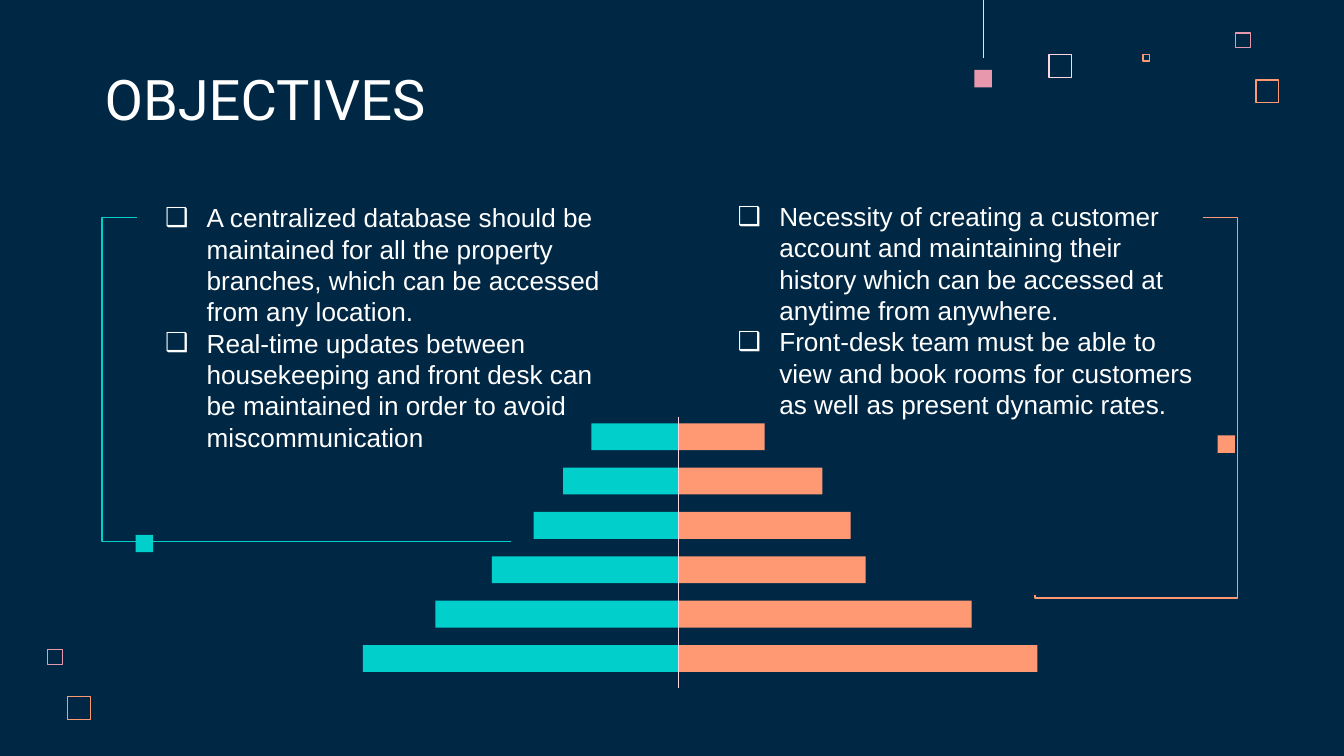
from lxml.etree import SubElement
from pptx import Presentation
from pptx.dml.color import RGBColor
from pptx.enum.shapes import MSO_CONNECTOR, MSO_SHAPE
from pptx.enum.text import MSO_ANCHOR
from pptx.oxml.ns import qn
from pptx.util import Inches, Pt

NAVY = RGBColor(0x00, 0x28, 0x45)
WHITE = RGBColor(0xFF, 0xFF, 0xFF)
BLUSH = RGBColor(0xFF, 0xD6, 0xE1)
PINK = RGBColor(0xE8, 0x98, 0xAC)
ORANGE = RGBColor(0xFF, 0x99, 0x73)
TEAL = RGBColor(0x00, 0xCF, 0xCC)

LEFT_GOALS = [
    "A centralized database should be maintained for all the property branches, "
    "which can be accessed from any location.",
    "Real-time updates between housekeeping and front desk can be maintained "
    "in order to avoid miscommunication",
]
RIGHT_GOALS = [
    "Necessity of creating a customer account and maintaining their history "
    "which can be accessed at anytime from anywhere.",
    "Front-desk team must be able to view and book rooms for customers "
    "as well as present dynamic rates.",
]
# Teal and orange bar lengths in inches, from top to bottom
BAR_LENGTHS = [(0.65, 0.64), (0.86, 1.07), (1.08, 1.28),
               (1.39, 1.39), (1.81, 2.18), (2.35, 2.67)]


def add_block(slide, left, top, width, height, color):
    block = slide.shapes.add_shape(MSO_SHAPE.RECTANGLE, Inches(left), Inches(top),
                                   Inches(width), Inches(height))
    block.shadow.inherit = False
    block.fill.solid()
    block.fill.fore_color.rgb = color
    block.line.fill.background()
    return block


def add_frame(slide, left, top, size, color):
    """Draw a hollow square whose outline stays inside the given box."""
    stroke = 0.01
    frame = add_block(slide, left + stroke / 2, top + stroke / 2,
                      size - stroke, size - stroke, color)
    frame.fill.background()
    frame.line.color.rgb = color
    frame.line.width = Inches(stroke)


def add_line(slide, start, end, color, weight=0.75, kind=MSO_CONNECTOR.STRAIGHT):
    line = slide.shapes.add_connector(kind, *map(Inches, (*start, *end)))
    line.line.color.rgb = color
    line.line.width = Pt(weight)
    SubElement(line._element.spPr, qn("a:effectLst"))
    return line


def add_bracket(slide, start, end, color, preset, bends):
    """Draw an elbow line; bends are fractions of its box."""
    bracket = add_line(slide, start, end, color, kind=MSO_CONNECTOR.ELBOW)
    geometry = bracket._element.spPr.find(qn("a:prstGeom"))
    geometry.set("prst", preset)
    guides = geometry.find(qn("a:avLst"))
    for number, bend in enumerate(bends, 1):
        SubElement(guides, qn("a:gd"), name=f"adj{number}",
                   fmla=f"val {round(bend * 100000)}")


def add_text(slide, left, top, width, height, paragraphs, *, font="Arial", size=14,
             color=WHITE, anchor=MSO_ANCHOR.TOP, bullet=None):
    box = slide.shapes.add_textbox(Inches(left), Inches(top), Inches(width), Inches(height))
    frame = box.text_frame
    frame.word_wrap = True
    frame.vertical_anchor = anchor
    frame.margin_left = frame.margin_right = Inches(0.1)
    frame.margin_top = frame.margin_bottom = Inches(0.1)
    for index, text in enumerate(paragraphs):
        paragraph = frame.add_paragraph() if index else frame.paragraphs[0]
        run = paragraph.add_run()
        run.text = text
        run.font.name = font
        run.font.size = Pt(size)
        run.font.color.rgb = color
        if bullet:
            properties = paragraph._p.get_or_add_pPr()
            properties.set("marL", str(Inches(0.31)))
            properties.set("indent", str(-Inches(0.31)))
            SubElement(properties, qn("a:buFont"), typeface="Arial")
            SubElement(properties, qn("a:buChar"), char=bullet)


def add_corner_squares(slide, left, top):
    add_frame(slide, left, top, 0.12, PINK)
    add_frame(slide, left + 0.15, top + 0.35, 0.18, ORANGE)


def add_decoration(slide):
    add_frame(slide, 7.8, 0.4, 0.18, BLUSH)
    add_frame(slide, 8.5, 0.4, 0.06, ORANGE)
    add_corner_squares(slide, 9.19, 0.24)
    add_corner_squares(slide, 0.35, 4.83)
    add_block(slide, 7.25, 0.52, 0.13, 0.13, PINK)
    add_line(slide, (7.32, 0), (7.32, 0.43), BLUSH, weight=0.5)


def add_goals(slide, left, top, width, goals):
    add_text(slide, left, top, width, 1.22, goals, bullet="❑")


def add_pyramid(slide, axis, top, height):
    """Mirror pairs of bars around a vertical axis."""
    pitch, thickness = 0.33, 0.2
    last_top = top + 1.7
    for row, (teal, orange) in enumerate(reversed(BAR_LENGTHS)):
        bar_top = last_top - row * pitch
        add_block(slide, axis, bar_top, orange, thickness, ORANGE)
        add_block(slide, axis - teal, bar_top, teal, thickness, TEAL)
    add_line(slide, (axis, top), (axis, top + height), BLUSH)


def add_brackets(slide):
    add_bracket(slide, (1.02, 1.62), (3.8, 4.03), TEAL,
                "bentConnector3", [-0.26 / 2.78])
    add_bracket(slide, (8.95, 1.62), (7.7, 4.43), ORANGE,
                "bentConnector4", [-0.26 / 1.25, 2.83 / 2.81])
    add_block(slide, 1.01, 3.98, 0.13, 0.13, TEAL)
    add_block(slide, 9.06, 3.24, 0.13, 0.13, ORANGE)


def main():
    presentation = Presentation()
    presentation.slide_width = Inches(10)
    presentation.slide_height = Inches(10) * 9 // 16
    slide = presentation.slides.add_slide(presentation.slide_layouts[6])
    slide.background.fill.solid()
    slide.background.fill.fore_color.rgb = NAVY

    add_decoration(slide)
    add_text(slide, 0.68, 0.45, 6.73, 0.63, ["OBJECTIVES"],
             font="Roboto", size=30, anchor=MSO_ANCHOR.BOTTOM)
    add_goals(slide, 1.13, 1.4, 3.6, LEFT_GOALS)
    add_goals(slide, 5.39, 1.39, 3.68, RIGHT_GOALS)
    add_pyramid(slide, 5.05, 3.1, 2.02)
    add_brackets(slide)
    presentation.save("out.pptx")


if __name__ == "__main__":
    main()
